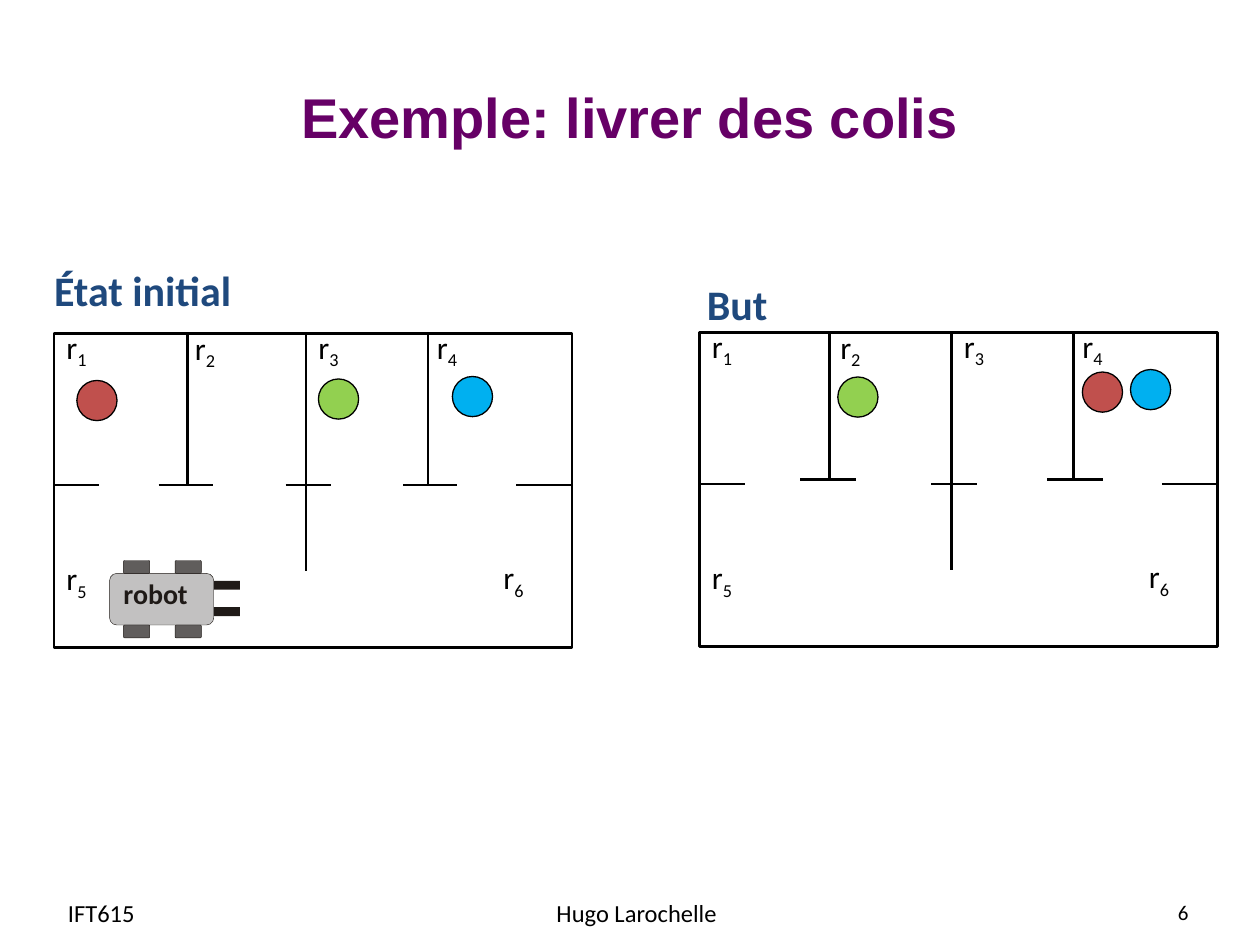
from lxml.etree import SubElement
from pptx import Presentation
from pptx.dml.color import RGBColor
from pptx.enum.shapes import MSO_CONNECTOR as Connector, MSO_SHAPE as Shape
from pptx.enum.text import MSO_ANCHOR as Anchor, MSO_AUTO_SIZE as AutoSize, PP_ALIGN as Align
from pptx.oxml.ns import qn
from pptx.util import Cm, Pt

BLACK = RGBColor(0x00, 0x00, 0x00)
PURPLE = RGBColor(0x66, 0x00, 0x66)
NAVY = RGBColor(0x1F, 0x49, 0x7D)
RED = RGBColor(0xC0, 0x50, 0x4D)
GREEN = RGBColor(0x92, 0xD0, 0x50)
BLUE = RGBColor(0x00, 0xB0, 0xF0)
BODY_GREY = RGBColor(0xC2, 0xC1, 0xC1)
WHEEL_GREY = RGBColor(0x60, 0x5D, 0x5C)
INK = RGBColor(0x1F, 0x1A, 0x17)


def write(frame, text, sub="", font="Calibri", size=18, color=BLACK, bold=False,
          align=Align.LEFT):
    """Put text, with an optional subscript, into a text frame."""
    paragraph = frame.paragraphs[0]
    paragraph.alignment = align
    for part in filter(None, (text, sub)):
        run = paragraph.add_run()
        run.text = part
        run.font.name, run.font.size, run.font.bold = font, Pt(size), bold
        run.font.color.rgb = color
    if sub:
        run.font._element.set("baseline", "-25000")


class FloorPlanSlide:
    """Drawing style and current slide; all lengths are in centimetres."""
    wall_width = 1.5
    ball_size = 0.81
    room_width, room_height = 10.44, 6.32

    def __init__(self, slide):
        self.slide = slide

    def title(self, text, x, y, w, h):
        heading = self.slide.shapes.title
        heading.left, heading.top, heading.width, heading.height = map(Cm, (x, y, w, h))
        heading.text_frame.vertical_anchor = Anchor.MIDDLE
        write(heading.text_frame, text, font="Arial", size=32, color=PURPLE,
              bold=True, align=Align.CENTER)

    def label(self, text, x, y, w, h, inset=True, **style):
        """Text that keeps to one line and sizes its own box."""
        frame = self.slide.shapes.add_textbox(*map(Cm, (x, y, w, h))).text_frame
        frame.word_wrap = False
        frame.auto_size = AutoSize.SHAPE_TO_FIT_TEXT
        if not inset:
            frame.margin_left = frame.margin_right = 0
            frame.margin_top = frame.margin_bottom = 0
        write(frame, text, **style)

    def footer(self, text, x, w, **style):
        frame = self.slide.shapes.add_textbox(*map(Cm, (x, 17.88, w, 1.02))).text_frame
        frame.word_wrap = True
        frame.vertical_anchor = Anchor.MIDDLE
        write(frame, text, **style)

    def shape(self, kind, x, y, w, h, fill=None, line=None, width=0.75, corner=None):
        shape = self.slide.shapes.add_shape(kind, *map(Cm, (x, y, w, h)))
        shape.shadow.inherit = False
        if fill is None:
            shape.fill.background()
        else:
            shape.fill.solid()
            shape.fill.fore_color.rgb = fill
        if line is None:
            shape.line.fill.background()
        else:
            shape.line.color.rgb = line
            shape.line.width = Pt(width)
        if corner is not None:
            shape.adjustments[0] = corner

    def wall(self, x1, y1, x2, y2):
        wall = self.slide.shapes.add_connector(
            Connector.STRAIGHT, *map(Cm, (x1, y1, x2, y2)))
        wall.line.color.rgb = BLACK
        wall.line.width = Pt(self.wall_width)
        SubElement(wall._element.spPr, qn("a:effectLst"))

    def floor_plan(self, left, top, t_walls, t_depth, balls):
        """Six rooms; t_walls gives (wall x, stub start, stub end) for each T."""
        self.shape(Shape.RECTANGLE, left, top, self.room_width, self.room_height,
                   line=BLACK, width=self.wall_width)
        # Centre wall, then the stubs beside the doors
        self.wall(left + 5.08, top, left + 5.08, top + 4.78)
        for start, end in ((0, 0.91), (4.67, 5.59), (9.32, self.room_width)):
            self.wall(left + start, top + 3.05, left + end, top + 3.05)
        for x, start, end in t_walls:
            self.wall(left + start, top + t_depth, left + end, top + t_depth)
            self.wall(left + x, top + 0.03, left + x, top + t_depth)
        # Room names
        rooms = ((0, -0.25), (2.59, -0.23), (5.08, -0.25), (7.47, -0.25),
                 (0, 4.42), (8.81, 4.39))
        for number, (x, y) in enumerate(rooms, 1):
            self.label("r", left + x, top + y, 1.3, 1.57, sub=str(number))
        # Parcels
        for color, x, y in balls:
            self.shape(Shape.OVAL, left + x, top + y, self.ball_size, self.ball_size,
                       fill=color, line=BLACK)

    def robot(self, x, y):
        self.shape(Shape.ROUNDED_RECTANGLE, x, y, 2.1, 1.04, BODY_GREY, INK, 0.25, 0.14)
        for wheel_x in (x + 0.28, x + 1.32):
            for wheel_y in (y - 0.26, y + 1.04):
                self.shape(Shape.ROUNDED_RECTANGLE, wheel_x, wheel_y, 0.53, 0.26,
                           WHEEL_GREY, INK, 0.25, 0.1)
        for fork_y in (y + 0.15, y + 0.68):
            self.shape(Shape.RECTANGLE, x + 2.1, fork_y, 0.53, 0.18, INK)
        self.label("robot", x + 0.28, y + 0.07, 1.45, 0.69, inset=False,
                   size=16, color=INK, bold=True)


def main():
    deck = Presentation()
    deck.slide_width, deck.slide_height = Cm(25.4), Cm(19.05)
    page = FloorPlanSlide(deck.slides.add_slide(deck.slide_layouts[5]))
    page.title("Exemple: livrer des colis", 1.27, 0.76, 22.86, 3.18)

    # Initial state and goal
    page.floor_plan(1.09, 6.73, ((2.69, 2.11, 3.2), (7.54, 7.04, 8.13)), 3.05,
                    ((BLUE, 8.03, 0.86), (GREEN, 5.33, 0.91), (RED, 0.46, 0.94)))
    page.floor_plan(14.1, 6.71, ((2.62, 2.03, 3.15), (7.54, 7.01, 8.13)), 2.95,
                    ((RED, 7.72, 0.79), (GREEN, 2.79, 0.89), (BLUE, 8.69, 0.74)))
    heading = dict(size=24, color=NAVY, bold=True)
    page.label("État initial", 0.84, 5.21, 4.14, 1.27, **heading)
    page.label("But", 14, 5.49, 1.75, 1.27, **heading)
    page.robot(2.21, 11.56)

    # Footer
    page.footer("IFT615", 1.12, 4.9, size=14)
    page.footer("6", 18.29, 5.92, size=12, align=Align.RIGHT)
    page.footer("Hugo Larochelle", 8.81, 8.05, size=14, align=Align.CENTER)
    deck.save("out.pptx")


if __name__ == "__main__":
    main()
